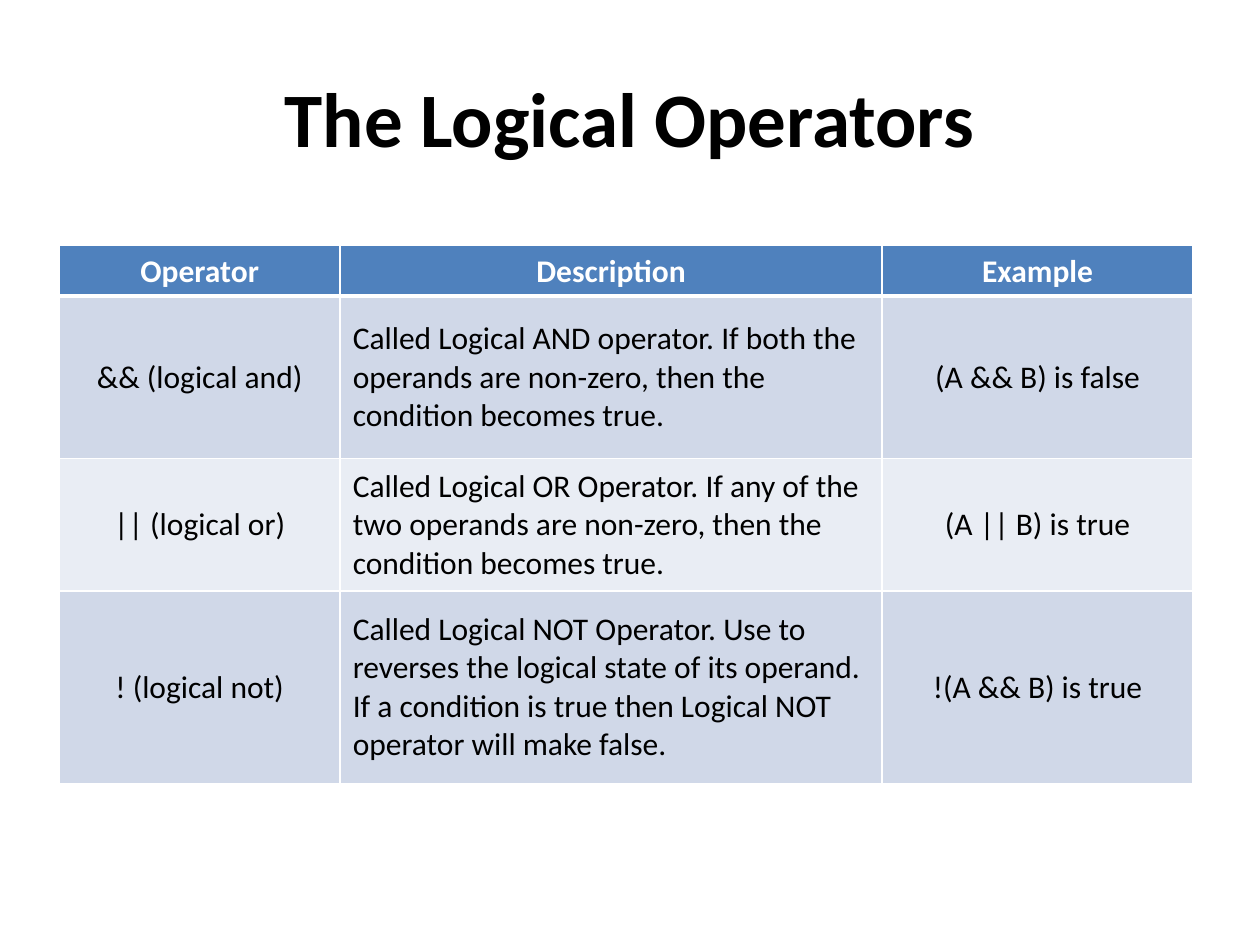
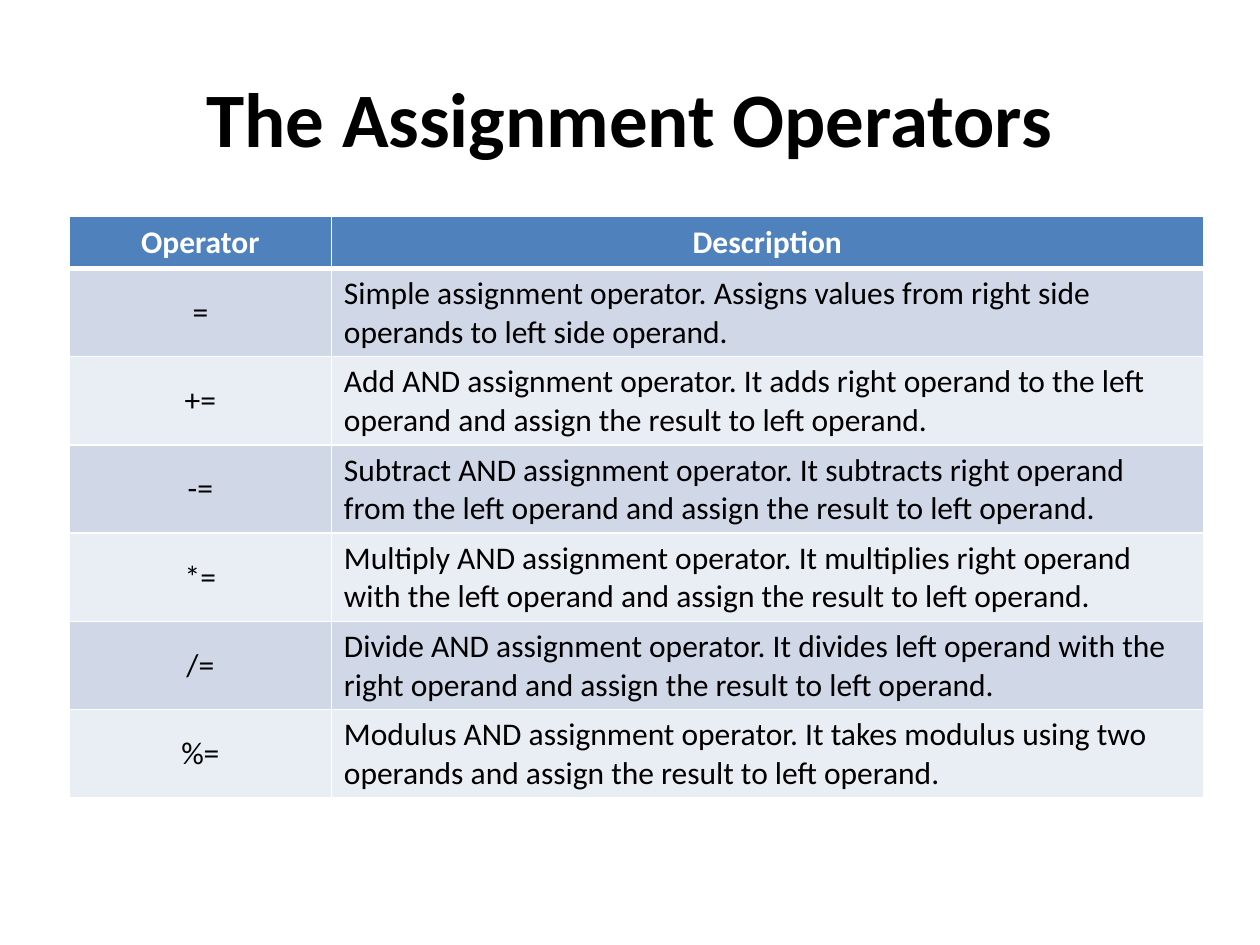
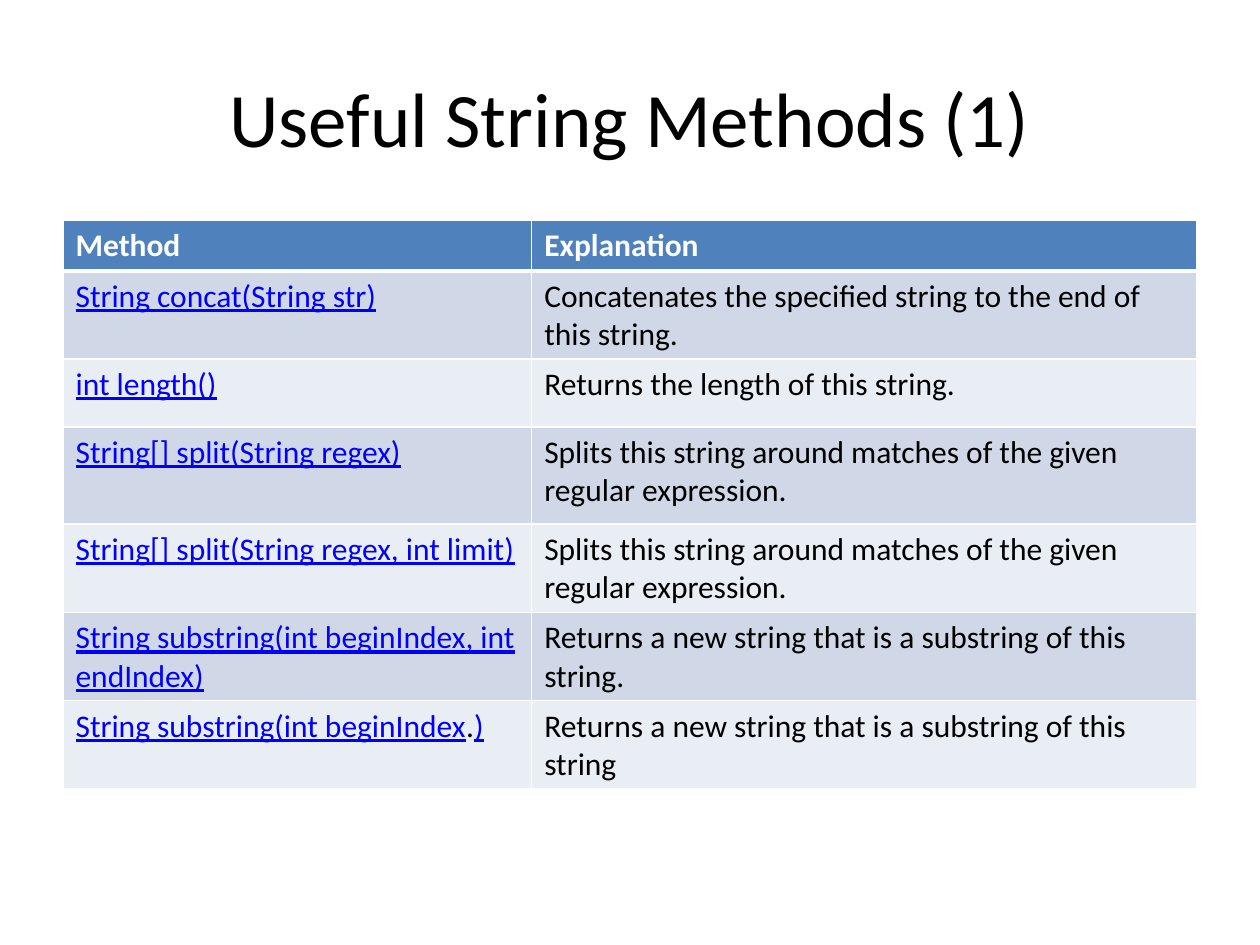
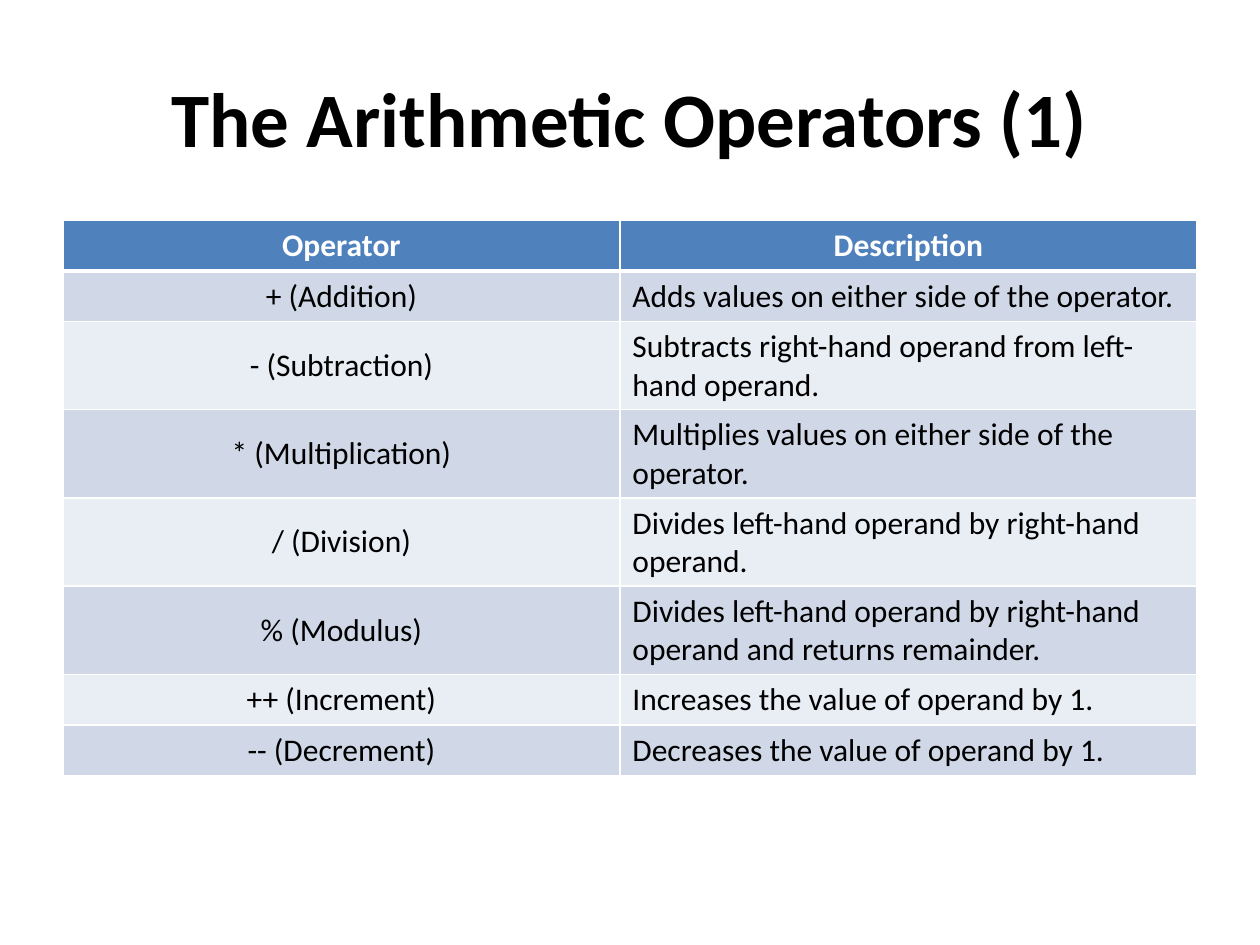
from dataclasses import dataclass

from lxml import etree
from pptx import Presentation
from pptx import util as u
from pptx.dml.color import RGBColor
from pptx.enum import text
from pptx.oxml.ns import qn

LEFT, CENTER = text.PP_ALIGN.LEFT, text.PP_ALIGN.CENTER
TOP, MIDDLE = text.MSO_ANCHOR.TOP, text.MSO_ANCHOR.MIDDLE


@dataclass(frozen=True)
class Theme:
    font: str = "Calibri"
    title_size: int = 44
    cell_size: int = 18
    ink: str = "000000"
    white: str = "FFFFFF"
    link: str = "0000FF"
    header: str = "4F81BD"
    bands: tuple = ("D0D8E8", "E9EDF4")
    border: float = 1
    header_border: float = 3


THEME = Theme()


def rgb(color):
    return RGBColor.from_string(color)


def add_run(p, content, size=THEME.cell_size, color=THEME.ink, bold=False, underline=False):
    r = p.add_run()
    r.text = content
    r.font.name = THEME.font
    r.font.size = u.Pt(size)
    r.font.color.rgb = rgb(color)
    r.font.bold = bold
    r.font.underline = underline


def add_title(slide, content, bold=True):
    sp = slide.shapes.add_textbox(u.Inches(0.5), u.Inches(0.3), u.Inches(9), u.Inches(1.25))
    tf = sp.text_frame
    tf.word_wrap = True
    tf.vertical_anchor = MIDDLE
    p = tf.paragraphs[0]
    p.alignment = CENTER
    add_run(p, content, size=THEME.title_size, bold=bold)


def set_borders(cell, top, bottom):
    """Draw white cell borders; top and bottom are widths in points."""
    tc_pr = cell._tc.get_or_add_tcPr()
    widths = {"a:lnL": THEME.border, "a:lnR": THEME.border, "a:lnT": top, "a:lnB": bottom}
    for tag, width in widths.items():
        ln = etree.SubElement(tc_pr, qn(tag), w=str(u.Pt(width)))
        fill = etree.SubElement(ln, qn("a:solidFill"))
        etree.SubElement(fill, qn("a:srgbClr"), val=THEME.white)


def fill_cell(cell, row, content, align, anchor):
    """Style a cell by its row; content is a string or a list of (text, is_link)."""
    is_header = row == 0
    set_borders(cell,
                top=THEME.header_border if row == 1 else THEME.border,
                bottom=THEME.header_border if is_header else THEME.border)
    cell.fill.solid()
    cell.fill.fore_color.rgb = rgb(THEME.header if is_header else THEME.bands[(row - 1) % 2])
    cell.vertical_anchor = anchor
    p = cell.text_frame.paragraphs[0]
    p.alignment = align
    runs = [(content, False)] if isinstance(content, str) else content
    for words, is_link in runs:
        color = THEME.white if is_header else THEME.link if is_link else THEME.ink
        add_run(p, words, color=color, bold=is_header, underline=is_link)


def add_grid(slide, at, widths, heights, rows, aligns, header_align=CENTER, anchor=MIDDLE):
    """Add a banded table; at is left, top and height, aligns has one entry per column."""
    left, top, height = (u.Inches(v) for v in at)
    frame = slide.shapes.add_table(len(rows), len(widths), left, top,
                                   u.Inches(sum(widths)), height)
    table = frame.table
    for column, width in zip(table.columns, widths):
        column.width = u.Inches(width)
    for row, row_height in zip(table.rows, heights):
        row.height = u.Inches(row_height)
    frame.height = height
    for i, row in enumerate(rows):
        for j, content in enumerate(row):
            align = header_align if i == 0 else aligns[j]
            fill_cell(table.cell(i, j), i, content, align, anchor)


def link(content):
    return [(content, True)]


def logical_slide(slide):
    add_title(slide, "The Logical Operators")
    add_grid(slide, (0.47, 1.95, 4.26), (2.23, 4.3, 2.47), (0.33, 1.29, 1.05, 1.53), [
        ("Operator", "Description", "Example"),
        ("&& (logical and)",
         "Called Logical AND operator. If both the operands are non-zero, "
         "then the condition becomes true.",
         "(A && B) is false"),
        ("|| (logical or)",
         "Called Logical OR Operator. If any of the two operands are non-zero, "
         "then the condition becomes true.",
         "(A || B) is true"),
        ("! (logical not)",
         "Called Logical NOT Operator. Use to reverses the logical state of its operand. "
         "If a condition is true then Logical NOT operator will make false.",
         "!(A && B) is true"),
    ], aligns=(CENTER, LEFT, CENTER))


def assignment_slide(slide):
    add_title(slide, "The Assignment Operators")
    add_grid(slide, (0.55, 1.72, 4.61), (2.08, 6.92), [0.41] * 7, [
        ("Operator", "Description"),
        ("=", "Simple assignment operator. Assigns values from right side operands "
              "to left side operand."),
        ("+=", "Add AND assignment operator. It adds right operand to the left operand "
               "and assign the result to left operand."),
        ("-=", "Subtract AND assignment operator. It subtracts right operand from the "
               "left operand and assign the result to left operand."),
        ("*=", "Multiply AND assignment operator. It multiplies right operand with the "
               "left operand and assign the result to left operand."),
        ("/=", "Divide AND assignment operator. It divides left operand with the right "
               "operand and assign the result to left operand."),
        ("%=", "Modulus AND assignment operator. It takes modulus using two operands "
               "and assign the result to left operand."),
    ], aligns=(CENTER, LEFT))


def string_slide(slide):
    split_text = "Splits this string around matches of the given regular expression."
    substring_text = "Returns a new string that is a substring of this string"
    add_title(slide, "Useful String Methods (1)", bold=False)
    add_grid(slide, (0.5, 1.75, 4.52), (3.72, 5.28), (0.31, 0.54, 0.54, 0.77, 0.54, 0.54, 0.54), [
        ("Method", "Explanation"),
        (link("String concat(String str)"),
         "Concatenates the specified string to the end of this string."),
        (link("int length()"), "Returns the length of this string."),
        (link("String[] split(String regex)"), split_text),
        (link("String[] split(String regex, int limit)"), split_text),
        (link("String substring(int beginIndex, int endIndex)"), substring_text + "."),
        (link("String substring(int beginIndex") + [(".", False)] + link(")"), substring_text),
    ], aligns=(LEFT, LEFT), header_align=LEFT, anchor=TOP)


def arithmetic_slide(slide):
    one_line, two_lines = 0.38, 0.66
    add_title(slide, "The Arithmetic Operators (1)")
    heights = [one_line] * 2 + [two_lines] * 4 + [one_line] * 2
    add_grid(slide, (0.5, 1.75, 4.4), (4.42, 4.58), heights, [
        ("Operator", "Description"),
        ("+ (Addition)", "Adds values on either side of the operator."),
        ("- (Subtraction)", "Subtracts right-hand operand from left-hand operand."),
        ("* (Multiplication)", "Multiplies values on either side of the operator."),
        ("/ (Division)", "Divides left-hand operand by right-hand operand."),
        ("% (Modulus)", "Divides left-hand operand by right-hand operand and returns remainder."),
        ("++ (Increment)", "Increases the value of operand by 1."),
        ("-- (Decrement)", "Decreases the value of operand by 1."),
    ], aligns=(CENTER, LEFT))


def main():
    prs = Presentation()
    prs.slide_width, prs.slide_height = u.Inches(10), u.Inches(7.5)
    for build in (logical_slide, assignment_slide, string_slide, arithmetic_slide):
        build(prs.slides.add_slide(prs.slide_layouts[6]))
    prs.save("out.pptx")


if __name__ == "__main__":
    main()
